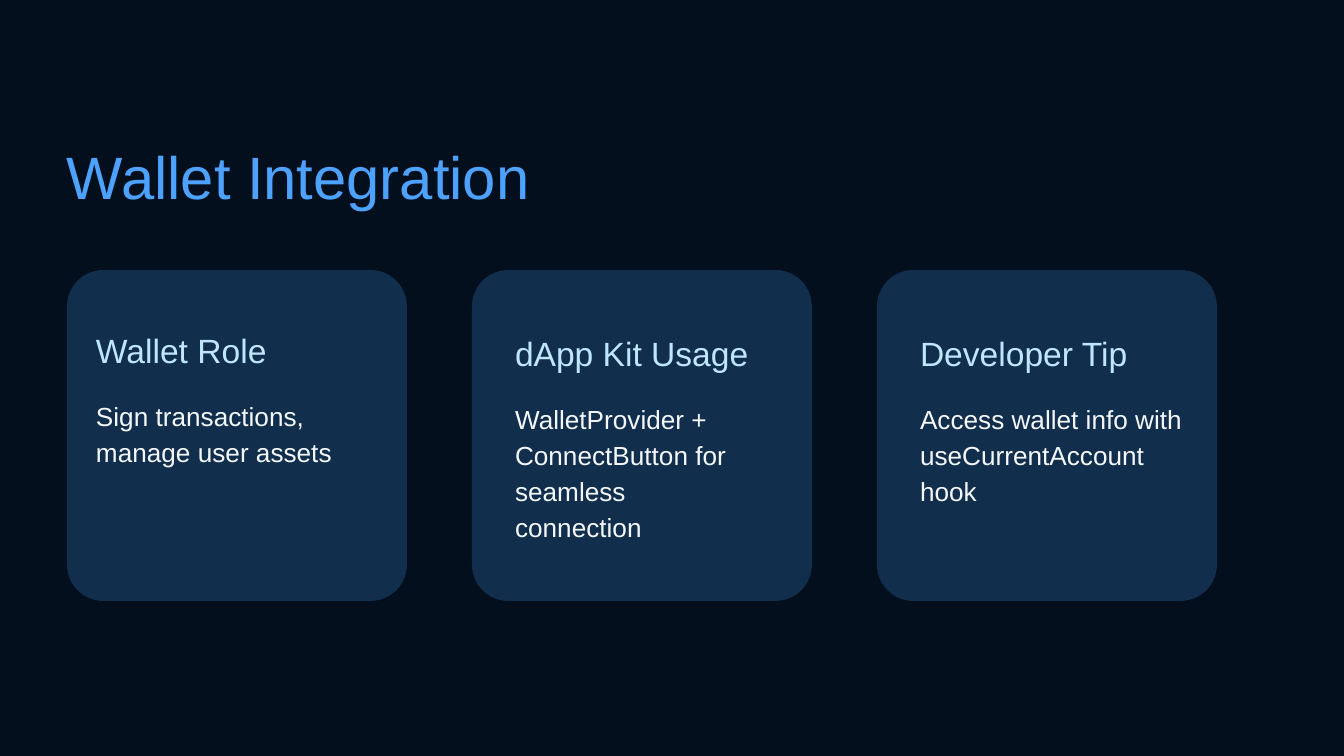
from dataclasses import dataclass

from pptx import Presentation
from pptx import util as u
from pptx.dml.color import RGBColor
from pptx.enum import shapes, text

TITLE = "Wallet Integration"
# heading, body, text inset (x, y) within the card, body width; all in px
CARDS = [
    ("Wallet Role", "Sign transactions, manage user assets", (29, 60), 257),
    ("dApp Kit Usage", "WalletProvider + ConnectButton for seamless connection", (43, 63), 257),
    ("Developer Tip", "Access wallet info with useCurrentAccount hook", (43, 63), 293),
]


@dataclass(frozen=True)
class Theme:
    font: str = "Arial"
    background: str = "030F1C"
    card: str = "112E4D"
    title: str = "4DA2FF"
    heading: str = "C0E6FF"
    body: str = "F5F8FA"
    title_size: int = 32
    heading_size: int = 18
    body_size: int = 14


THEME = Theme()
SLIDE_WIDTH, SLIDE_HEIGHT = 1344, 756
MARGIN = 67
CARD_TOP, CARD_WIDTH, CARD_HEIGHT, CARD_PITCH = 270, 340, 331, 405
HEADING_WIDTH, HEADING_HEIGHT = 257, 56
BODY_OFFSET, BODY_HEIGHT = 66, 140
TEXT_RIGHT_INSET = 13
EMU_PER_PX = u.Inches(10) / SLIDE_WIDTH


def px(length):
    return u.Emu(round(length * EMU_PER_PX))


def set_fill(fill, color):
    fill.solid()
    fill.fore_color.rgb = RGBColor.from_string(color)


def add_text(slide, content, left, top, width, height, *, size, color,
             anchor=text.MSO_ANCHOR.TOP, right_inset=0, line_spacing=None, space_after=0):
    box = slide.shapes.add_textbox(px(left), px(top), px(width), px(height))
    frame = box.text_frame
    frame.word_wrap = True
    frame.vertical_anchor = anchor
    frame.margin_left = frame.margin_top = frame.margin_bottom = 0
    frame.margin_right = px(right_inset)
    paragraph = frame.paragraphs[0]
    paragraph.text = content
    paragraph.line_spacing = line_spacing
    paragraph.space_after = u.Pt(space_after)
    paragraph.font.name = THEME.font
    paragraph.font.size = u.Pt(size)
    paragraph.font.color.rgb = RGBColor.from_string(color)


def add_card(slide, left):
    card = slide.shapes.add_shape(shapes.MSO_SHAPE.ROUNDED_RECTANGLE, px(left), px(CARD_TOP),
                                  px(CARD_WIDTH), px(CARD_HEIGHT))
    card.adjustments[0] = 0.11
    card.shadow.inherit = False
    set_fill(card.fill, THEME.card)
    card.line.fill.background()


def main():
    presentation = Presentation()
    presentation.slide_width, presentation.slide_height = px(SLIDE_WIDTH), px(SLIDE_HEIGHT)
    slide = presentation.slides.add_slide(presentation.slide_layouts[6])
    set_fill(slide.background.fill, THEME.background)

    add_text(slide, TITLE, MARGIN, 128, 888, 83, size=THEME.title_size, color=THEME.title,
             anchor=text.MSO_ANCHOR.BOTTOM)
    for index, (heading, body, (inset_x, inset_y), body_width) in enumerate(CARDS):
        left = MARGIN + index * CARD_PITCH
        text_left, text_top = left + inset_x, CARD_TOP + inset_y
        add_card(slide, left)
        add_text(slide, heading, text_left, text_top, HEADING_WIDTH, HEADING_HEIGHT,
                 size=THEME.heading_size, color=THEME.heading,
                 right_inset=TEXT_RIGHT_INSET, space_after=12)
        add_text(slide, body, text_left, text_top + BODY_OFFSET, body_width, BODY_HEIGHT,
                 size=THEME.body_size, color=THEME.body,
                 right_inset=TEXT_RIGHT_INSET, line_spacing=1.15, space_after=12)

    presentation.save("out.pptx")


if __name__ == "__main__":
    main()
